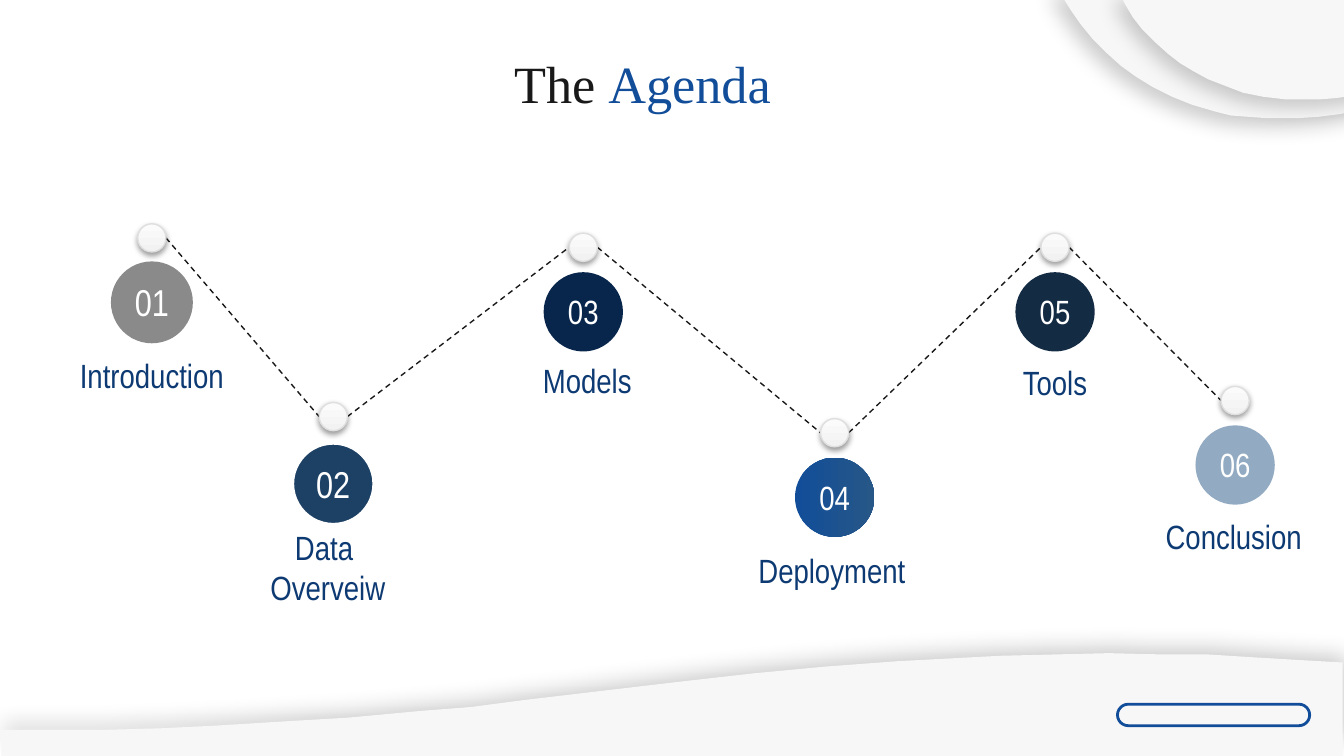
from itertools import pairwise
from lxml.etree import SubElement
from pptx import Presentation
from pptx.dml.color import RGBColor
from pptx.enum.dml import MSO_LINE
from pptx.enum.shapes import MSO_CONNECTOR, MSO_SHAPE
from pptx.enum.text import MSO_ANCHOR, PP_ALIGN
from pptx.oxml.ns import qn
from pptx.util import Inches, Pt

HUES = {
    "pale": "F7F7F7", "blue": "114D99", "ink": "191919", "label": "0D3A73",
    "white": "FFFFFF", "black": "000000", "rim": "DFDFDF", "low": "F2F2F2",
    "high": "FBFBFB", "gray": "171717", "steel": "1D4165", "navy": "08264C",
    "sea": "275787", "night": "142B44",
}
SERIF, SANS = "Times New Roman", "Arial Narrow"
TITLE = [("The ", "ink"), ("Agenda", "blue")]

# number, label, centre x, dot y, disc y, label y, disc size, text size, fill, alpha
STEPS = [
    ("01", "Introduction", 1.13, 1.77, 2.25, 2.79, 0.61, 20, "gray", 50),
    ("02", "Data \nOverveiw", 2.48, 3.1, 3.6, 4.22, 0.61, 20, "steel", 100),
    ("03", "Models", 4.34, 1.84, 2.32, 2.83, 0.59, 18, "navy", 100),
    ("04", "Deployment", 6.21, 3.22, 3.7, 4.24, 0.59, 18, ("blue", "sea"), 100),
    ("05", "Tools", 7.85, 1.84, 2.32, 2.84, 0.59, 18, "night", 100),
    ("06", "Conclusion", 9.19, 2.98, 3.46, 3.99, 0.59, 18, "sea", 50),
]
SHIFT = {"02": -0.04, "03": 0.03, "04": -0.02, "06": -0.01}
DOT, WIDE, TALL = 0.21, 1.94, 0.37

WAVE = [
    (9.99, 5.55), (0, 5.52), (0, 5.43), (0.8, 5.43), (1.18, 5.42), (1.6, 5.4),
    (2.08, 5.37), (2.59, 5.34), (3.13, 5.29), (3.51, 5.26), (3.89, 5.21),
    (4.57, 5.13), (5.08, 5.07), (5.61, 5.01), (6.14, 4.96), (6.68, 4.92),
    (7.06, 4.9), (7.44, 4.88), (7.84, 4.87), (8.25, 4.86), (8.66, 4.87),
    (8.99, 4.87), (9.31, 4.89), (9.65, 4.91), (9.99, 4.93),
]
OUTER = [
    (10.61, -0.18), (7.87, -0.1), (7.92, 0), (7.97, 0.08), (8.04, 0.18),
    (8.13, 0.29), (8.24, 0.4), (8.34, 0.49), (8.45, 0.57), (8.58, 0.65),
    (8.72, 0.72), (8.87, 0.78), (9.04, 0.83), (9.16, 0.86), (9.29, 0.87),
    (9.43, 0.88), (9.65, 0.88), (9.81, 0.87), (9.97, 0.85), (10.14, 0.81),
    (10.32, 0.77), (10.61, 0.68),
]
INNER = [
    (10.61, -0.11), (8.33, -0.05), (8.37, 0.03), (8.43, 0.13), (8.5, 0.22),
    (8.59, 0.31), (8.69, 0.4), (8.78, 0.47), (8.88, 0.53), (8.99, 0.59),
    (9.12, 0.64), (9.25, 0.69), (9.4, 0.72), (9.57, 0.74), (9.81, 0.74),
    (9.94, 0.73), (10.08, 0.71), (10.22, 0.68), (10.37, 0.65), (10.61, 0.57),
]
CURVES = [(WAVE, 3.8, 291), (OUTER, 6, 130), (INNER, 5.2, 130)]


def rgb(hue):
    """Return the named colour."""
    return RGBColor.from_string(HUES[hue])


def paint(shape, fill=None, line=None, width=1, alpha=100, angle=0):
    """Set fill, outline and no shadow."""
    if fill is None:
        shape.fill.background()
    elif isinstance(fill, tuple):
        shape.fill.gradient()
        shape.fill.gradient_angle = angle
        for stop, hue in zip(shape.fill.gradient_stops, fill):
            stop.color.rgb = rgb(hue)
    else:
        shape.fill.solid()
        shape.fill.fore_color.rgb = rgb(fill)
        if alpha < 100:
            tone = shape._element.spPr.find(".//" + qn("a:srgbClr"))
            SubElement(tone, qn("a:alpha"), val=str(alpha * 1000))
    if line:
        shape.line.color.rgb = rgb(line)
        shape.line.width = Pt(width)
    else:
        shape.line.fill.background()
    shape.shadow.inherit = False


def shade(shape, alpha, blur, gap, turn):
    """Add an outer shadow."""
    box = shape._element.spPr.find(qn("a:effectLst"))
    cast = SubElement(box, qn("a:outerShdw"), blurRad=str(Pt(blur)), dist=str(Pt(gap)),
                      dir=str(turn * 60000), algn="ctr", rotWithShape="0")
    tone = SubElement(cast, qn("a:srgbClr"), val=HUES["black"])
    SubElement(tone, qn("a:alpha"), val=str(alpha * 1000))


def style(run, face, size, hue):
    """Format one run."""
    run.font.name, run.font.size = face, Pt(size)
    run.font.color.rgb = rgb(hue)


def fit(frame, anchor, pads):
    """Set wrapping, anchor, margins and centring."""
    frame.word_wrap = True
    frame.vertical_anchor = anchor
    (frame.margin_left, frame.margin_top,
     frame.margin_right, frame.margin_bottom) = map(Inches, pads)
    for para in frame.paragraphs:
        para.alignment = PP_ALIGN.CENTER


def write(shape, text, size, hue, pads):
    """Put centred text in a shape."""
    frame = shape.text_frame
    frame.text = text
    fit(frame, MSO_ANCHOR.MIDDLE, pads)
    for para in frame.paragraphs:
        for run in para.runs:
            style(run, SANS, size, hue)


def mid(x, y, wide, tall):
    """Return the box centred on a point."""
    return [Inches(v) for v in (x - wide / 2, y - tall / 2, wide, tall)]


def curve(shapes, points, gap, turn):
    """Draw a closed pale outline with a shadow."""
    spots = [(Inches(x), Inches(y)) for x, y in points]
    pen = shapes.build_freeform(*spots[0])
    pen.add_line_segments(spots[1:], close=True)
    form = pen.convert_to_shape()
    paint(form, "pale")
    shade(form, 20, 11.2, gap, turn)


def link(shapes, left, right):
    """Join two neighbouring dots with a dashed line."""
    ends = (left[2] + DOT / 2, left[3], right[2] - DOT / 2, right[3])
    line = shapes.add_connector(MSO_CONNECTOR.STRAIGHT, *map(Inches, ends))
    line.line.color.rgb = rgb("ink")
    line.line.width = Pt(0.75)
    line.line.dash_style = MSO_LINE.DASH
    SubElement(line._element.spPr, qn("a:effectLst"))


def mark(shapes, step):
    """Draw the label, disc and dot of one step."""
    num, name, x, top, disc_y, name_y, wide, size, fill, alpha = step
    label = shapes.add_textbox(*mid(x + SHIFT.get(num, 0), name_y, WIDE, TALL))
    write(label, name, 18, "label", (0.1, 0.1, 0.1, 0.1))
    disc = shapes.add_shape(MSO_SHAPE.OVAL, *mid(x, disc_y, wide, wide))
    paint(disc, fill, "white" if num == "02" else None, 2, alpha)
    write(disc, num, size, "white", (0, 0.1, 0, 0.11))
    dot = shapes.add_shape(MSO_SHAPE.OVAL, *mid(x, top, DOT, DOT))
    paint(dot, ("low", "high"), "rim", 0.75, angle=90)
    shade(dot, 38, 3.1, 1.6, 90)


def main():
    """Build the agenda slide."""
    deck = Presentation()
    deck.slide_width, deck.slide_height = Inches(10), Inches(10 * 9 / 16)
    slide = deck.slides.add_slide(deck.slide_layouts[5])
    shapes = slide.shapes

    for points, gap, turn in CURVES:
        curve(shapes, points, gap, turn)
    base = shapes.add_shape(MSO_SHAPE.RECTANGLE, *mid(5, 5.57, 9.98, 0.21))
    paint(base, "pale")
    pill = shapes.add_shape(MSO_SHAPE.ROUNDED_RECTANGLE, *mid(9.03, 5.32, 1.43, 0.16))
    pill.adjustments[0] = 0.5
    paint(pill, None, "blue", 1.5)

    title = shapes.title
    title.left, title.top, title.width, title.height = map(Inches, (0.57, 0.28, 8.42, 0.63))
    for text, hue in TITLE:
        run = title.text_frame.paragraphs[0].add_run()
        run.text = text
        style(run, SERIF, 28, hue)
    fit(title.text_frame, MSO_ANCHOR.TOP, (0.1, 0.1, 0.1, 0.1))

    for left, right in pairwise(STEPS):
        link(shapes, left, right)
    for step in STEPS:
        mark(shapes, step)
    deck.save("out.pptx")


if __name__ == "__main__":
    main()
